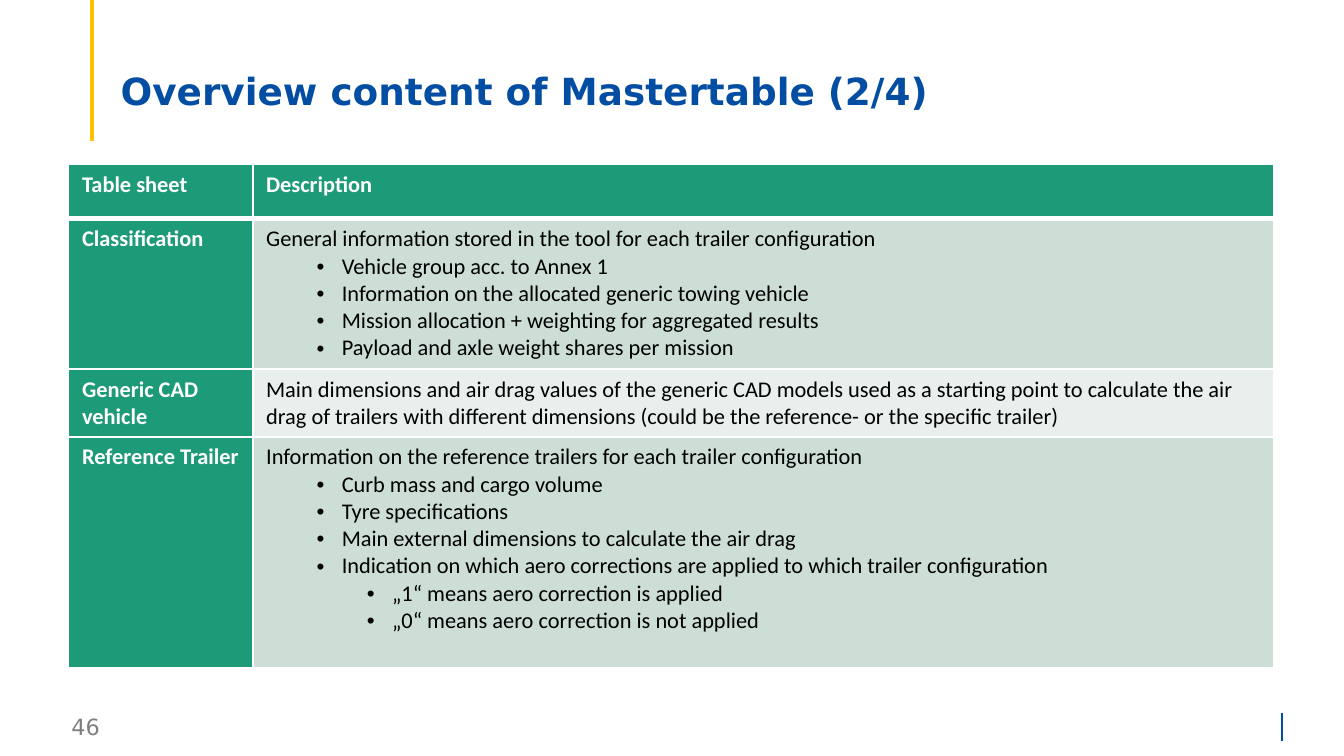
from lxml.etree import SubElement
from pptx import Presentation
from pptx.dml.color import RGBColor
from pptx.enum.shapes import MSO_CONNECTOR
from pptx.enum.text import MSO_ANCHOR, MSO_AUTO_SIZE, PP_ALIGN
from pptx.oxml import parse_xml
from pptx.oxml.ns import nsdecls, qn
from pptx.util import Pt

# Content: each description is a list of (indent level, text)
TITLE = "Overview content of Mastertable (2/4)"
PAGE_NUMBER = "46"
ROWS = [
    ("Table sheet", [(0, "Description")]),
    ("Classification", [
        (0, "General information stored in the tool for each trailer configuration"),
        (1, "Vehicle group acc. to Annex 1"),
        (1, "Information on the allocated generic towing vehicle"),
        (1, "Mission allocation + weighting for aggregated results"),
        (1, "Payload and axle weight shares per mission"),
    ]),
    ("Generic CAD vehicle", [
        (0, "Main dimensions and air drag values of the generic CAD models used as a "
            "starting point to calculate the air drag of trailers with different "
            "dimensions (could be the reference- or the specific trailer)"),
    ]),
    ("Reference Trailer", [
        (0, "Information on the reference trailers for each trailer configuration"),
        (1, "Curb mass and cargo volume"),
        (1, "Tyre specifications"),
        (1, "Main external dimensions to calculate the air drag"),
        (1, "Indication on which aero corrections are applied to which trailer configuration"),
        (2, "„1“ means aero correction is applied"),
        (2, "„0“ means aero correction is not applied"),
    ]),
]

# Style and measures, in points
BLUE = RGBColor(0x03, 0x4E, 0xA2)
YELLOW = RGBColor(0xFF, 0xC0, 0x00)
GREY = RGBColor(0x7F, 0x7F, 0x7F)
GREEN = RGBColor(0x1D, 0x9A, 0x78)
BAND_DARK = RGBColor(0xCD, 0xDE, 0xD6)
BAND_LIGHT = RGBColor(0xE8, 0xEF, 0xEC)
WHITE = RGBColor(0xFF, 0xFF, 0xFF)
BLACK = RGBColor(0, 0, 0)
HEADING_FONT, TABLE_FONT = "DejaVu Sans", "Calibri"
COLUMN_WIDTHS = [98.6, 547.2]
ROW_HEIGHTS = [29.2, 80.6, 36.2, 124]
BULLET_INDENT, LEVEL_STEP, HANGING = 40.5, 27, 13.5


def add_text(paragraph, text, font_name, size, color, bold=False):
    run = paragraph.add_run()
    run.text = text
    font = run.font
    font.name, font.size, font.bold = font_name, Pt(size), bold
    font.color.rgb = color


def add_rule(slide, x, top, bottom, color, width):
    rule = slide.shapes.add_connector(
        MSO_CONNECTOR.STRAIGHT, Pt(x), Pt(top), Pt(x), Pt(bottom))
    rule.line.color.rgb = color
    rule.line.width = Pt(width)
    SubElement(rule._element.spPr, qn("a:effectLst"))


def add_bullet(paragraph, level):
    paragraph.level = level
    properties = paragraph._p.get_or_add_pPr()
    properties.set("marL", str(Pt(BULLET_INDENT + LEVEL_STEP * (level - 1))))
    properties.set("indent", str(-Pt(HANGING)))
    SubElement(properties, qn("a:buFont")).set("typeface", "Arial")
    SubElement(properties, qn("a:buChar")).set("char", "•")


def set_borders(cell, row):
    top = 3 if row == 1 else 1
    bottom = 3 if row == 0 else 1
    widths = [("L", 1), ("R", 1), ("T", top), ("B", bottom)]
    for place, (side, width) in enumerate(widths):
        border = parse_xml(
            f'<a:ln{side} {nsdecls("a")} w="{Pt(width)}"><a:solidFill>'
            f'<a:srgbClr val="{WHITE}"/></a:solidFill></a:ln{side}>')
        cell._tc.get_or_add_tcPr().insert(place, border)


def fill_cell(cell, row, lines, fill, color, bold):
    cell.fill.solid()
    cell.fill.fore_color.rgb = fill
    set_borders(cell, row)
    frame = cell.text_frame
    for number, (level, text) in enumerate(lines):
        paragraph = frame.add_paragraph() if number else frame.paragraphs[0]
        if level:
            add_bullet(paragraph, level)
        add_text(paragraph, text, TABLE_FONT, 12, color, bold)


def main():
    deck = Presentation()
    deck.slide_width, deck.slide_height = Pt(720), Pt(405)
    slide = deck.slides.add_slide(deck.slide_layouts[5])

    # Page number and accent rules
    page = slide.shapes.add_textbox(Pt(31.2), Pt(378.4), Pt(168), Pt(21.6))
    page.text_frame.word_wrap = True
    page.text_frame.vertical_anchor = MSO_ANCHOR.MIDDLE
    page.text_frame.margin_top = page.text_frame.margin_bottom = 0
    add_text(page.text_frame.paragraphs[0], PAGE_NUMBER, HEADING_FONT, 12, GREY)
    add_rule(slide, 687, 381.8, 396.8, BLUE, 1)
    add_rule(slide, 49.2, 0, 75.6, YELLOW, 2.25)

    # Title
    title = slide.shapes.title
    title.left, title.top, title.width, title.height = Pt(57.4), Pt(10.8), Pt(613.4), Pt(78.5)
    title.text_frame.auto_size = MSO_AUTO_SIZE.NONE
    title.text_frame.vertical_anchor = MSO_ANCHOR.MIDDLE
    heading = title.text_frame.paragraphs[0]
    heading.alignment = PP_ALIGN.LEFT
    heading.line_spacing = 0.9
    add_text(heading, TITLE, HEADING_FONT, 20, BLUE, True)

    # Table of sheets
    table = slide.shapes.add_table(
        len(ROWS), len(COLUMN_WIDTHS), Pt(36.8), Pt(88),
        Pt(sum(COLUMN_WIDTHS)), Pt(sum(ROW_HEIGHTS))).table
    for column, width in zip(table.columns, COLUMN_WIDTHS):
        column.width = Pt(width)
    for index, (sheet, description) in enumerate(ROWS):
        table.rows[index].height = Pt(ROW_HEIGHTS[index])
        fill_cell(table.cell(index, 0), index, [(0, sheet)], GREEN, WHITE, True)
        if index == 0:
            look = GREEN, WHITE, True
        else:
            look = (BAND_DARK if index % 2 else BAND_LIGHT), BLACK, False
        fill_cell(table.cell(index, 1), index, description, *look)

    deck.save("out.pptx")


if __name__ == "__main__":
    main()
